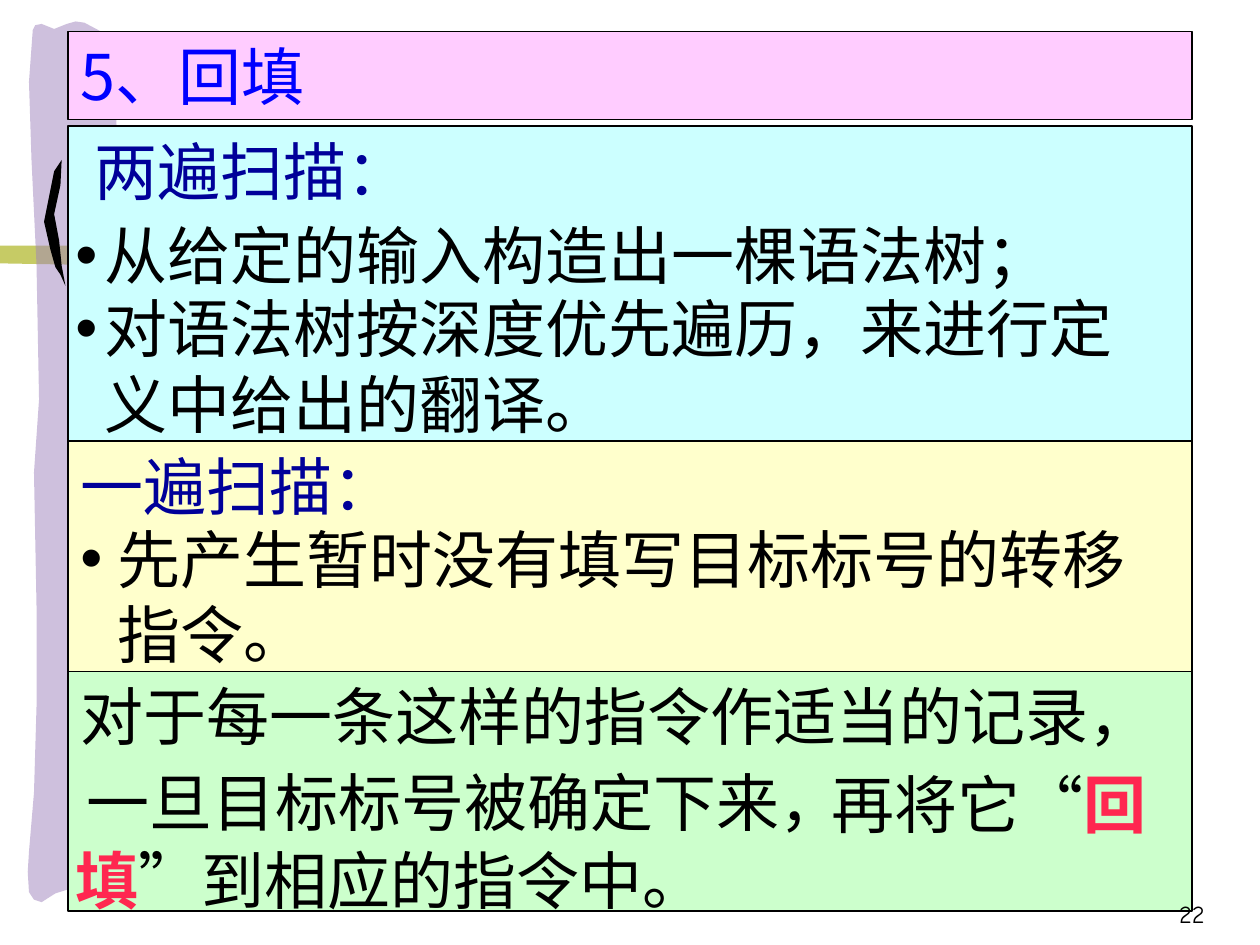
"""Build the slide on backpatching: two-pass and one-pass scanning."""
from lxml.etree import SubElement
from pptx import Presentation
from pptx.dml.color import RGBColor
from pptx.enum.shapes import MSO_SHAPE as Shape
from pptx.enum.text import MSO_ANCHOR as Anchor, PP_ALIGN as Align
from pptx.oxml.ns import qn
from pptx.util import Pt

PX = 9144
CJK = "Noto Sans CJK JP"
LATIN = "Comic Neue"
BLACK = RGBColor(0x00, 0x00, 0x00)
BLUE = RGBColor(0x00, 0x00, 0xFF)
NAVY = RGBColor(0x00, 0x00, 0x99)
RED = RGBColor(0xFF, 0x27, 0x50)
PINK = RGBColor(0xFF, 0xCC, 0xFF)
AQUA = RGBColor(0xCC, 0xFF, 0xFF)
CREAM = RGBColor(0xFF, 0xFF, 0xCC)
MINT = RGBColor(0xCC, 0xFF, 0xCC)
OLIVE = RGBColor(0xC6, 0xCB, 0x65)
PURPLE = RGBColor(0x9F, 0x83, 0xBD)


def add_brush(slide, points, color):
    (x, y), *rest = points
    builder = slide.shapes.build_freeform(x, y, scale=PX)
    builder.add_line_segments(rest, close=True)
    brush = builder.convert_to_shape()
    brush.shadow.inherit = False
    brush.fill.solid()
    brush.fill.fore_color.rgb = color
    brush.line.fill.background()
    return brush


def write(shape, runs, margin=0, indent=0, bullet=False, size=36, font=CJK):
    frame = shape.text_frame
    frame.word_wrap = True
    frame.vertical_anchor = Anchor.TOP
    paragraph = frame.paragraphs[0]
    paragraph.alignment = Align.LEFT
    props = paragraph._p.get_or_add_pPr()
    props.set("marL", str(margin * PX))
    props.set("indent", str(indent * PX))
    if bullet:
        SubElement(props, qn("a:buFont"), typeface="Arial")
        SubElement(props, qn("a:buChar"), char="•")
    for text, color, bold in runs:
        run = paragraph.add_run()
        run.text = text
        run.font.size = Pt(size)
        run.font.name = font
        run.font.bold = bold
        run.font.color.rgb = color
        SubElement(run._r.rPr, qn("a:ea"), typeface=font)
    return frame


deck = Presentation()
deck.slide_width = 1000 * PX
deck.slide_height = 750 * PX
slide = deck.slides.add_slide(deck.slide_layouts[6])

add_brush(slide, [
    (601, 195), (702, 196), (743, 198), (743, 202), (749, 206), (745, 208),
    (706, 210), (635, 210), (541, 209), (414, 209), (298, 210), (111, 211),
    (-2, 209), (-3, 195), (111, 195), (232, 194), (391, 194), (489, 194),
], OLIVE)

column = add_brush(slide, [
    (29, 561), (29, 481), (27, 375), (31, 317), (29, 210), (25, 127),
    (23, 65), (26, 24), (28, 20), (33, 19), (43, 23), (53, 19), (60, 17),
    (67, 18), (84, 27), (92, 41), (92, 71), (93, 129), (97, 195), (96, 286),
    (94, 391), (100, 495), (96, 583), (96, 690), (92, 706), (77, 711),
    (60, 704), (44, 709), (33, 716), (27, 714), (23, 708), (22, 692),
    (23, 676), (27, 629),
], PURPLE)
purple_fill = column.fill._xPr.find(qn("a:solidFill"))
SubElement(purple_fill[0], qn("a:alpha"), val="50000")

add_brush(slide, [
    (49, 127), (48, 147), (43, 170), (47, 191), (49, 211), (52, 227),
    (48, 218), (44, 212), (40, 198), (35, 176), (39, 156), (43, 136),
], BLACK)

panels = [
    (25, 70, PINK, "5、回填", BLUE, 0),
    (100, 250, AQUA, "两遍扫描：", NAVY, 11),
    (350, 190, CREAM, "一遍扫描：", NAVY, 0),
    (533, 190, MINT, "对于每一条这样的指令作适当的记录，", BLACK, 0),
]
for top, height, fill, heading, color, margin in panels:
    panel = slide.shapes.add_shape(
        Shape.RECTANGLE, 54 * PX, top * PX, 892 * PX, height * PX)
    panel.shadow.inherit = False
    panel.fill.solid()
    panel.fill.fore_color.rgb = fill
    panel.line.color.rgb = BLACK
    panel.line.width = Pt(0.75)
    write(panel, [(heading, color, False)], margin)

points = [
    (50, 167, 892, 70, 23, "从给定的输入构造出一棵语法树；"),
    (50, 225, 892, 130, 23, "对语法树按深度优先遍历，来进行定义中给出的翻译。"),
    (54, 408, 879, 130, 29, "先产生暂时没有填写目标标号的转移指令。"),
]
for left, top, width, height, hang, sentence in points:
    point = slide.shapes.add_textbox(left * PX, top * PX, width * PX, height * PX)
    write(point, [(sentence, BLACK, False)], hang, -hang, bullet=True)

condition = slide.shapes.add_textbox(59 * PX, 601 * PX, 620 * PX, 70 * PX)
write(condition, [("一旦目标标号被确定下来，", BLACK, False)]).word_wrap = False

backpatch = slide.shapes.add_textbox(50 * PX, 603 * PX, 883 * PX, 130 * PX)
write(backpatch, [
    ("再将它“", BLACK, False),
    ("回填", RED, True),
    ("”到相应的指令中。", BLACK, False),
], indent=600)

page_number = slide.shapes.add_textbox(758 * PX, 692 * PX, 208 * PX, 50 * PX)
page_frame = write(page_number, [("22", BLACK, False)], size=14, font=LATIN)
page_frame.vertical_anchor = Anchor.BOTTOM
page_frame.paragraphs[0].alignment = Align.RIGHT

deck.save("out.pptx")
